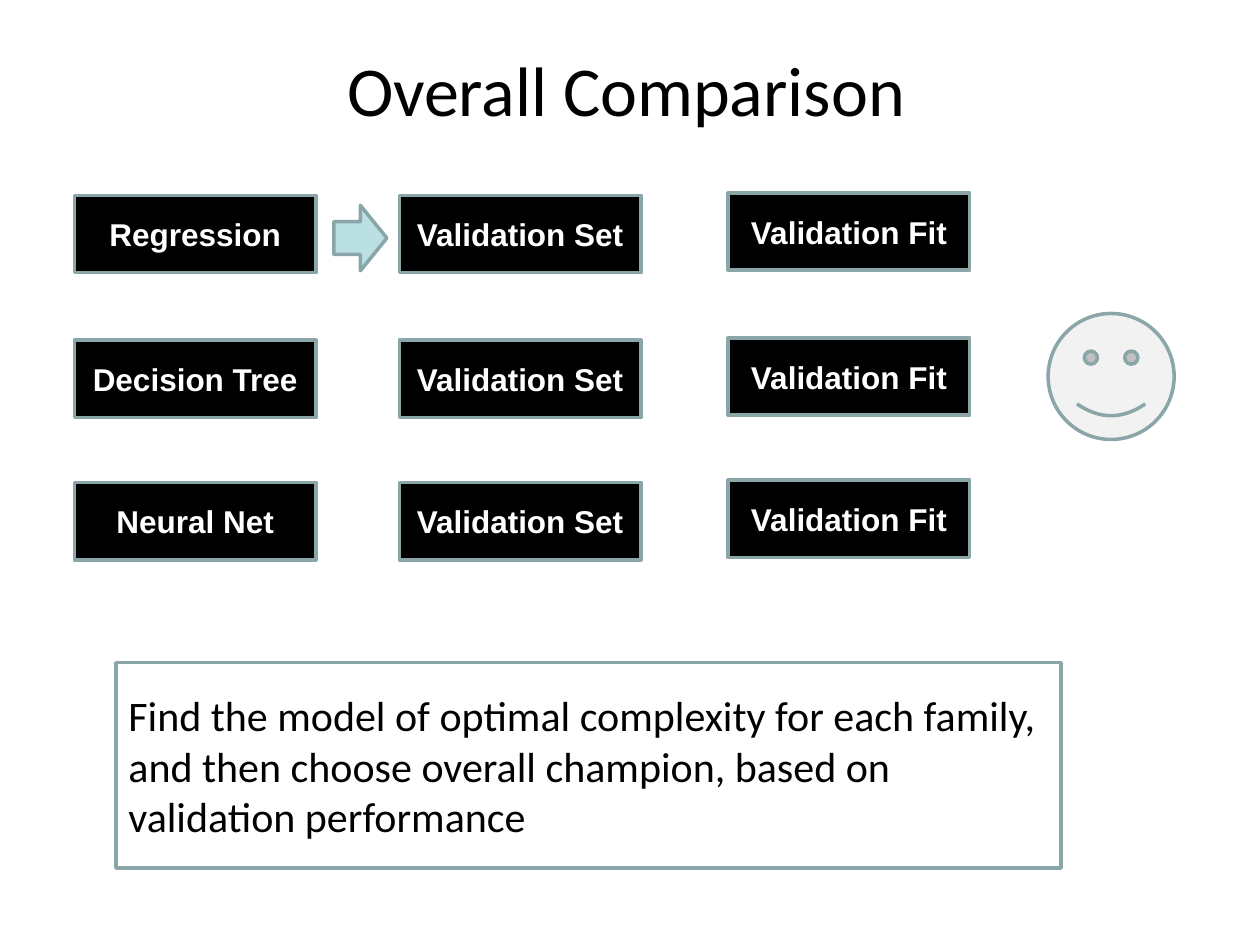
import pptx
import pptx.util
import pptx.dml.color
import pptx.enum.shapes
import pptx.enum.text

Cm = pptx.util.Cm
RGB = pptx.dml.color.RGBColor
Kind = pptx.enum.shapes.MSO_SHAPE
Align = pptx.enum.text.PP_ALIGN
Anchor = pptx.enum.text.MSO_ANCHOR

BLACK = RGB(0x00, 0x00, 0x00)
WHITE = RGB(0xFF, 0xFF, 0xFF)
EDGE = RGB(0x8A, 0xA6, 0xA8)
AQUA = RGB(0xBB, 0xE0, 0xE3)
PALE = RGB(0xF2, 0xF2, 0xF2)

MODELS = ["Regression", "Decision Tree", "Neural Net"]
ROWS = [3.94, 6.86, 9.73]
BOX = (4.87, 1.56)


class Deck:
    head = "Calibri"
    label = "Arial"
    edge = 2

    def __init__(self):
        self.file = pptx.Presentation()
        self.file.slide_width = Cm(25.4)
        self.file.slide_height = Cm(19.05)
        self.slide = self.file.slides.add_slide(self.file.slide_layouts[5])

    def letter(self, shape, text, font, size, color, align, bold=False):
        frame = shape.text_frame
        frame.text = text
        frame.word_wrap = True
        frame.vertical_anchor = Anchor.MIDDLE
        for para in frame.paragraphs:
            para.alignment = align
            for run in para.runs:
                run.font.name = font
                run.font.size = pptx.util.Pt(size)
                run.font.bold = bold
                run.font.color.rgb = color

    def title(self, text, left, top, width, height):
        shape = self.slide.shapes.title
        shape.left, shape.top = Cm(left), Cm(top)
        shape.width, shape.height = Cm(width), Cm(height)
        self.letter(shape, text, self.head, 40, BLACK, Align.CENTER)

    def shape(self, kind, left, top, width, height, fill):
        shape = self.slide.shapes.add_shape(
            kind, Cm(left), Cm(top), Cm(width), Cm(height))
        shape.shadow.inherit = False
        shape.fill.solid()
        shape.fill.fore_color.rgb = fill
        shape.line.color.rgb = EDGE
        shape.line.width = pptx.util.Pt(self.edge)
        return shape

    def box(self, text, left, top):
        shape = self.shape(Kind.RECTANGLE, left, top, *BOX, BLACK)
        self.letter(shape, text, self.label, 18, WHITE, Align.CENTER, True)

    def note(self, text, left, top, width, height):
        shape = self.shape(Kind.RECTANGLE, left, top, width, height, WHITE)
        self.letter(shape, text, self.head, 24, BLACK, Align.LEFT)


def main():
    deck = Deck()
    deck.title("Overall Comparison ", 1.35, 0.2, 22.86, 3.18)
    deck.note("Find the model of optimal complexity for each family, and then "
              "choose overall champion, based on validation performance",
              2.34, 13.36, 19.05, 4.14)
    columns = [
        (1.5, 0, MODELS),
        (8.05, 0, ["Validation Set"] * 3),
        (14.68, -0.05, ["Validation Fit"] * 3),
    ]
    for left, shift, labels in columns:
        for top, text in zip(ROWS, labels):
            deck.box(text, left, top + shift)
    deck.shape(Kind.RIGHT_ARROW, 6.73, 4.14, 1.07, 1.32, AQUA)
    deck.shape(Kind.SMILEY_FACE, 21.13, 6.32, 2.54, 2.54, PALE)
    deck.file.save("out.pptx")


if __name__ == "__main__":
    main()
